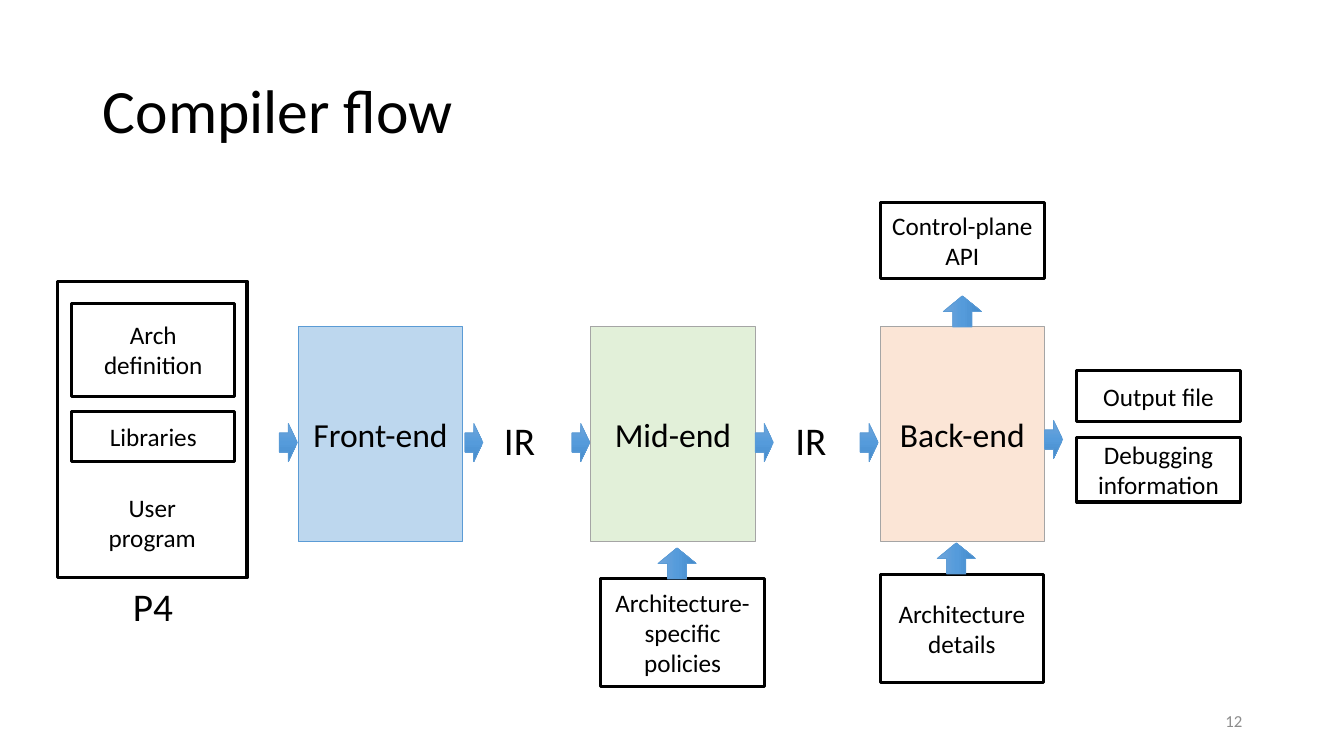
from copy import deepcopy
from typing import NamedTuple

from pptx import Presentation
from pptx.dml.color import RGBColor
from pptx.enum.shapes import MSO_SHAPE as SHAPE
from pptx.enum.text import MSO_ANCHOR as ANCHOR, PP_ALIGN as ALIGN
from pptx.oxml.ns import qn
from pptx.util import Inches, Pt

FONT = "Calibri"
COLORS = {
    "black": "000000", "white": "FFFFFF", "number": "8C8C8C",
    "front": "BDD7EE", "mid": "E2F0D9", "back": "FBE5D6",
    "blue": "5B9BD5", "gray": "A5A5A5",
}
ARROW_STOPS = ((0, "71A6DB"), (0.5, "559BDB"), (1, "448ACA"))


class Box(NamedTuple):
    text: str
    x: float
    y: float
    w: float
    h: float
    fill: str = "white"
    line: str = "black"
    line_pt: float = 2.25
    size: int = 18
    anchor: ANCHOR = ANCHOR.MIDDLE
    bottom: float = 0.05


class Stage(NamedTuple):
    text: str
    x: float
    fill: str
    line: str


class Arrow(NamedTuple):
    x: float
    y: float
    w: float = 0.18
    rotation: int = 0


class Label(NamedTuple):
    text: str
    x: float
    y: float
    w: float


def rgb(name: str) -> RGBColor:
    return RGBColor.from_string(COLORS[name])


def write(tf, text: str, *, size: float, color: str = "black",
          align=ALIGN.LEFT, anchor=ANCHOR.TOP, wrap: bool = True,
          spacing: float = 1.0) -> None:
    """Fill a text frame, one paragraph per line of text."""
    tf.word_wrap = wrap
    tf.vertical_anchor = anchor
    for i, line in enumerate(text.split("\n")):
        p = tf.paragraphs[0] if i == 0 else tf.add_paragraph()
        p.alignment = align
        p.line_spacing = spacing
        r = p.add_run()
        r.text = line
        r.font.name = FONT
        r.font.size = Pt(size)
        r.font.color.rgb = rgb(color)


def draw_box(slide, box: Box) -> None:
    sp = slide.shapes.add_shape(SHAPE.RECTANGLE, *map(Inches, box[1:5]))
    sp.shadow.inherit = False
    sp.fill.solid()
    sp.fill.fore_color.rgb = rgb(box.fill)
    sp.line.color.rgb = rgb(box.line)
    sp.line.width = Pt(box.line_pt)
    sp.text_frame.margin_bottom = Inches(box.bottom)
    write(sp.text_frame, box.text, size=box.size, align=ALIGN.CENTER,
          anchor=box.anchor)


def draw_arrow(slide, arrow: Arrow) -> None:
    sp = slide.shapes.add_shape(SHAPE.RIGHT_ARROW, Inches(arrow.x),
                                Inches(arrow.y), Inches(arrow.w), Inches(0.38))
    sp.shadow.inherit = False
    sp.rotation = arrow.rotation
    sp.line.color.rgb = rgb("blue")
    sp.line.width = Pt(0.5)
    sp.fill.gradient()
    sp.fill.gradient_angle = 270
    # The default gradient has two stops; a third is needed
    stops = sp._element.spPr.find(".//" + qn("a:gsLst"))
    stops.insert(1, deepcopy(stops[0]))
    for stop, (position, color) in zip(sp.fill.gradient_stops, ARROW_STOPS):
        stop.position = position
        stop.color.rgb = RGBColor.from_string(color)


def draw_label(slide, label: Label) -> None:
    tb = slide.shapes.add_textbox(Inches(label.x), Inches(label.y),
                                  Inches(label.w), Inches(0.57))
    write(tb.text_frame, label.text, size=28, wrap=False)


STAGES = (
    Stage("Front-end", 2.96, "front", "blue"),
    Stage("Mid-end", 5.86, "mid", "gray"),
    Stage("Back-end", 8.73, "back", "gray"),
)
BOXES = (
    # P4 input
    Box("User\nprogram", 0.57, 2.79, 1.88, 2.94,
        anchor=ANCHOR.BOTTOM, bottom=0.25),
    Box("Arch definition", 0.71, 3.01, 1.62, 0.92),
    Box("Libraries", 0.71, 4.08, 1.62, 0.5),
    # Results
    Box("Output file", 10.68, 3.68, 1.62, 0.5),
    Box("Debugging\ninformation", 10.68, 4.34, 1.62, 0.64),
    Box("Control-plane API", 8.73, 2.01, 1.63, 0.75),
    # Architecture input
    Box("Architecture-specific policies", 5.96, 5.74, 1.62, 1.07),
    Box("Architecture\ndetails", 8.73, 5.7, 1.62, 1.07),
)
ARROWS = (
    *(Arrow(x, 4.2) for x in (2.77, 4.61, 5.67, 7.49, 8.53)),
    Arrow(10.36, 4.17),
    *(Arrow(x, y, 0.31, 270)
      for x, y in ((9.39, 2.9), (6.56, 5.4), (9.33, 5.35))),
)
LABELS = (
    Label("IR", 4.9, 4.08, 0.51),
    Label("IR", 7.79, 4.08, 0.51),
    Label("P4", 1.22, 5.73, 0.61),
)


def main() -> None:
    prs = Presentation()
    prs.slide_width, prs.slide_height = Inches(13.33), Inches(7.5)
    slide = prs.slides.add_slide(prs.slide_layouts[5])

    # Title
    title = slide.shapes.title
    title.left, title.top = Inches(0.92), Inches(0.4)
    title.width, title.height = Inches(11.5), Inches(1.45)
    write(title.text_frame, "Compiler flow", size=44, anchor=ANCHOR.MIDDLE,
          spacing=0.9)

    # Compiler stages
    for stage in STAGES:
        draw_box(slide, Box(stage.text, stage.x, 3.24, 1.63, 2.13, stage.fill,
                            stage.line, line_pt=0.5, size=24))

    # Inputs, results and the flow between them
    for box in BOXES:
        draw_box(slide, box)
    for arrow in ARROWS:
        draw_arrow(slide, arrow)
    for label in LABELS:
        draw_label(slide, label)

    # Slide number
    number = slide.shapes.add_textbox(Inches(9.42), Inches(6.95),
                                      Inches(3), Inches(0.4))
    write(number.text_frame, "12", size=12, color="number",
          align=ALIGN.RIGHT, anchor=ANCHOR.MIDDLE)

    prs.save("out.pptx")


if __name__ == "__main__":
    main()
